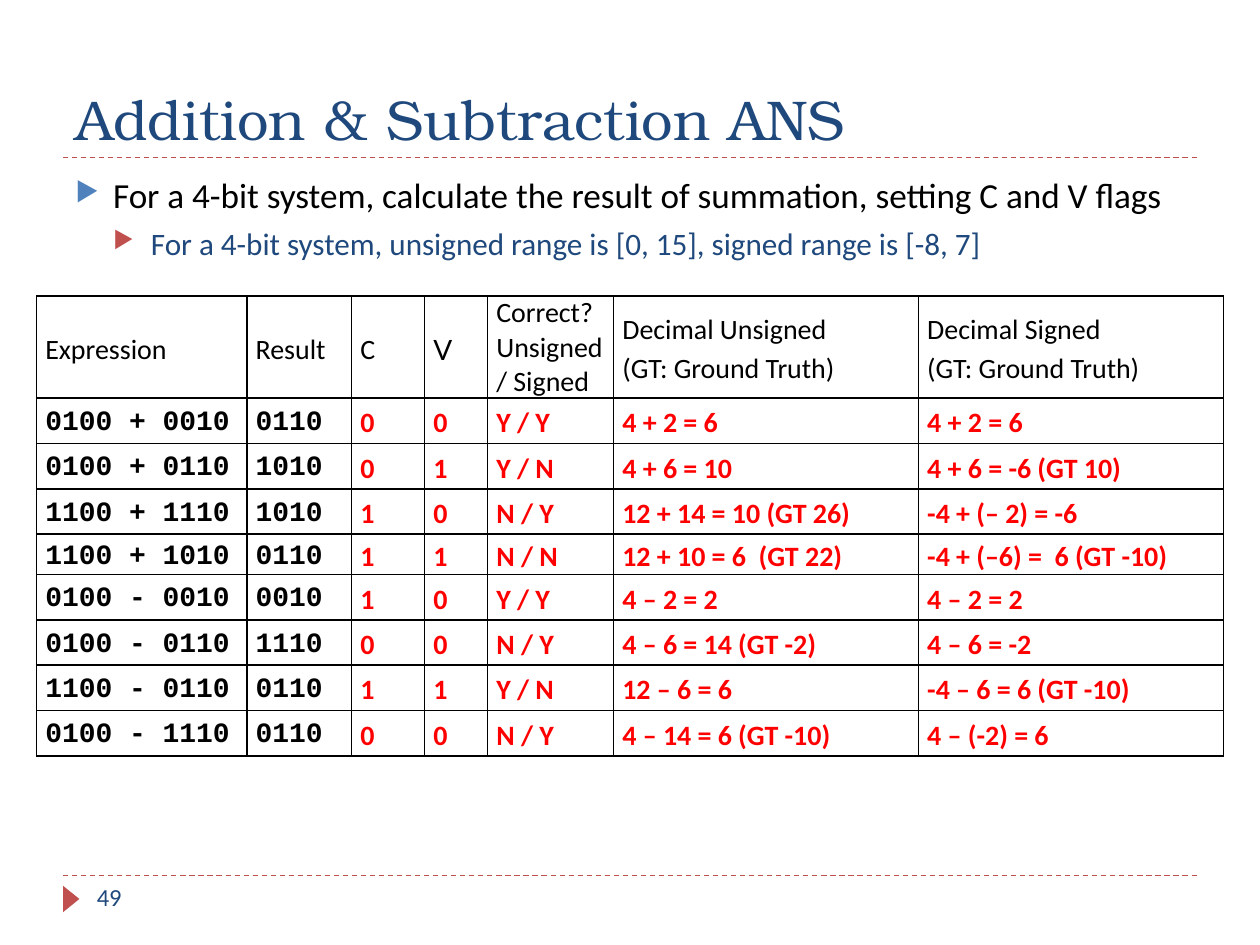
from lxml import etree
from pptx import Presentation
from pptx.dml.color import RGBColor
from pptx.enum.dml import MSO_LINE
from pptx.enum.shapes import MSO_CONNECTOR, MSO_SHAPE
from pptx.enum.text import MSO_ANCHOR
from pptx.oxml import parse_xml
from pptx.oxml.ns import nsdecls, qn
from pptx.util import Inches, Pt

STRAIGHT = MSO_CONNECTOR.STRAIGHT
TRIANGLE = MSO_SHAPE.ISOSCELES_TRIANGLE
DASH = MSO_LINE.DASH
TOP, MIDDLE, BOTTOM = MSO_ANCHOR.TOP, MSO_ANCHOR.MIDDLE, MSO_ANCHOR.BOTTOM
NAVY = RGBColor(0x1F, 0x49, 0x7D)
BLUE = RGBColor(0x4F, 0x81, 0xBD)
BRICK = RGBColor(0xC0, 0x50, 0x4D)
RED = RGBColor(0xFF, 0x00, 0x00)
BLACK = RGBColor(0x00, 0x00, 0x00)
WHITE = RGBColor(0xFF, 0xFF, 0xFF)


def add_text(p, text, color, **font):
    p.text = text
    for r in p.runs:
        r.font.color.rgb = color
        for name, value in font.items():
            setattr(r.font, name, value)


def add_box(s, left, top, width, height, anchor):
    sp = s.shapes.add_textbox(Inches(left), Inches(top), Inches(width), Inches(height))
    tf = sp.text_frame
    tf.word_wrap = True
    tf.vertical_anchor = anchor
    return tf


prs = Presentation()
prs.slide_width, prs.slide_height = Inches(10), Inches(7.5)
s = prs.slides.add_slide(prs.slide_layouts[6])

for y in (6.95, 1.25):
    line = s.shapes.add_connector(STRAIGHT, Inches(0.5), Inches(y), Inches(9.5), Inches(y))
    line.line.color.rgb = BRICK
    line.line.width = Pt(0.75)
    line.line.dash_style = DASH
    etree.SubElement(line._element.spPr, qn("a:effectLst"))

sp = s.shapes.add_shape(TRIANGLE, Inches(0.46), Inches(7.07), Inches(0.21), Inches(0.13))
sp.rotation = 90
sp.shadow.inherit = False
sp.fill.solid()
sp.fill.fore_color.rgb = BRICK
sp.line.fill.background()

tf = add_box(s, 0.5, 0.17, 9, 1.08, BOTTOM)
add_text(tf.paragraphs[0], "Addition & Subtraction ANS", NAVY, name="TeX Gyre Bonum", size=Pt(32))

tf = add_box(s, 0.67, 6.95, 2.17, 0.4, TOP)
add_text(tf.paragraphs[0], "49", NAVY, name="Calibri", size=Pt(14))

widths = [1.67, 0.83, 0.58, 0.5, 1, 2.42, 2.42]
heights = [0.81] + [0.36] * 3 + [0.32] + [0.36] * 4
rows = [
    ("Expression", "Result", "C", "V", "Correct? Unsigned/ Signed",
     "Decimal Unsigned\v(GT: Ground Truth)", "Decimal Signed\v(GT: Ground Truth)"),
    ("0100 + 0010", "0110", "0", "0", "Y / Y", "4 + 2 = 6", "4 + 2 = 6"),
    ("0100 + 0110", "1010", "0", "1", "Y / N", "4 + 6 = 10", "4 + 6 = -6 (GT 10)"),
    ("1100 + 1110", "1010", "1", "0", "N / Y", "12 + 14 = 10 (GT 26)", "-4 + (– 2) = -6"),
    ("1100 + 1010", "0110", "1", "1", "N / N", "12 + 10 = 6  (GT 22)", "-4 + (–6) =  6 (GT -10)"),
    ("0100 - 0010", "0010", "1", "0", "Y / Y", "4 – 2 = 2", "4 – 2 = 2"),
    ("0100 - 0110", "1110", "0", "0", "N / Y", "4 – 6 = 14 (GT -2)", "4 – 6 = -2"),
    ("1100 - 0110", "0110", "1", "1", "Y / N", "12 – 6 = 6", "-4 – 6 = 6 (GT -10)"),
    ("0100 - 1110", "0110", "0", "0", "N / Y", "4 – 14 = 6 (GT -10)", "4 – (-2) = 6"),
]
cell_format = {"margin_left": Inches(0.07), "margin_right": Inches(0.07),
               "margin_top": 0, "margin_bottom": 0, "vertical_anchor": MIDDLE}
table = s.shapes.add_table(len(rows), len(widths), Inches(0.29), Inches(2.35),
                           Inches(sum(widths)), Inches(sum(heights))).table
for column, width in zip(table.columns, widths):
    column.width = Inches(width)
for i, row in enumerate(rows):
    table.rows[i].height = Inches(heights[i])
    for j, text in enumerate(row):
        cell = table.cell(i, j)
        for name, value in cell_format.items():
            setattr(cell, name, value)
        cell.fill.solid()
        cell.fill.fore_color.rgb = WHITE
        tcPr = cell._tc.get_or_add_tcPr()
        for k, side in enumerate(("lnL", "lnR", "lnT", "lnB")):
            tcPr.insert(k, parse_xml(
                f'<a:{side} {nsdecls("a")} w="12700"><a:solidFill>'
                f'<a:srgbClr val="{BLACK}"/></a:solidFill></a:{side}>'))
        if i == 0:
            font, color = ("Lato" if text == "V" else "Calibri"), BLACK
        elif j < 2:
            font, color = "Courier New", BLACK
        else:
            font, color = "Calibri", RED
        p = cell.text_frame.paragraphs[0]
        p.line_spacing = 1.0 if (i, j) == (0, 4) else 1.15
        add_text(p, text, color, name=font, size=Pt(16), bold=i > 0)

bullets = [
    ("For a 4-bit system, calculate the result of summation, setting C and V flags",
     20.1, BLACK, BLUE, 6),
    ("For a 4-bit system, unsigned range is [0, 15], signed range is [-8, 7]",
     17.8, NAVY, BRICK, 5),
]
tf = add_box(s, 0.5, 1.33, 9, 0.92, TOP)
for level, (text, size, color, bullet_color, before) in enumerate(bullets):
    p = tf.add_paragraph() if level else tf.paragraphs[0]
    p.level = level
    p.space_before = Pt(before)
    add_text(p, text, color, name="Calibri", size=Pt(size))
    pPr = p._p.get_or_add_pPr()
    pPr.set("marL", str(Inches(0.3 * (level + 1))))
    pPr.set("indent", str(Inches(-0.3)))
    buClr = etree.SubElement(pPr, qn("a:buClr"))
    etree.SubElement(buClr, qn("a:srgbClr"), val=str(bullet_color))
    etree.SubElement(pPr, qn("a:buSzPct"), val="76000")
    etree.SubElement(pPr, qn("a:buChar"), char="▶")

prs.save("out.pptx")
